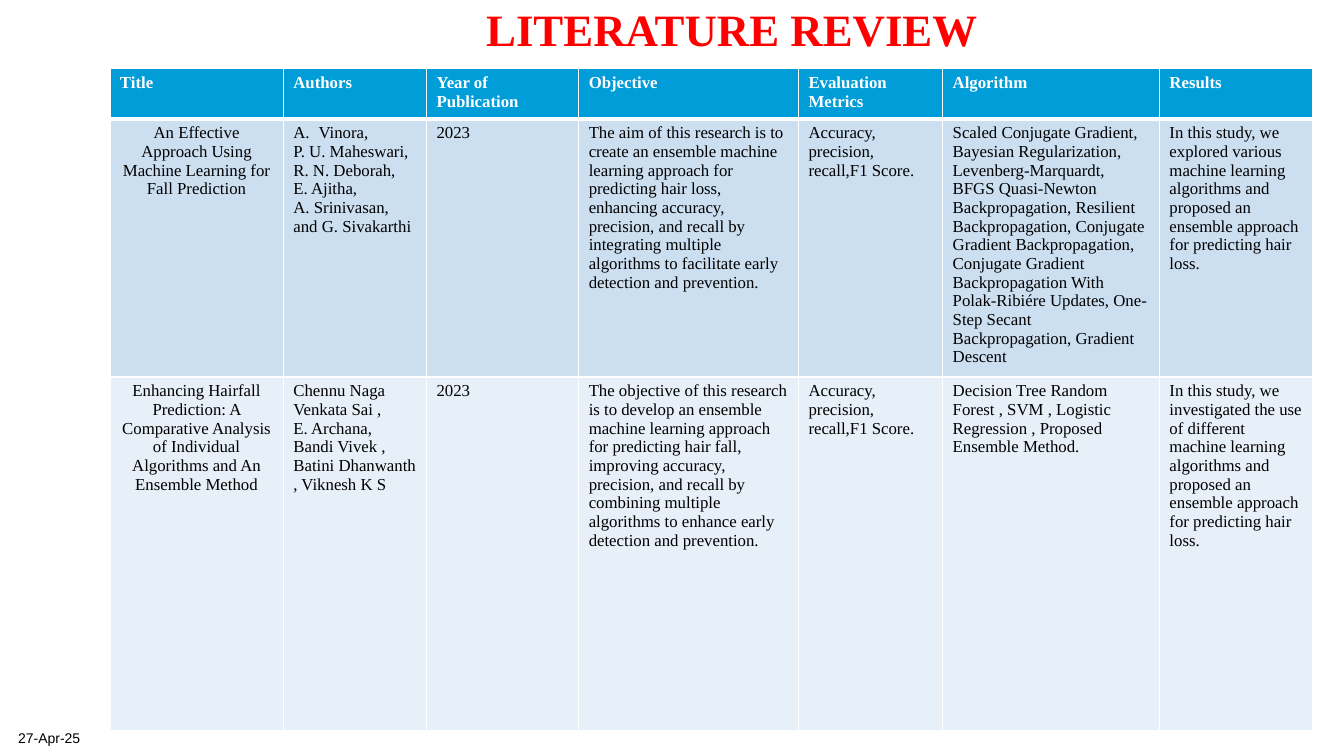
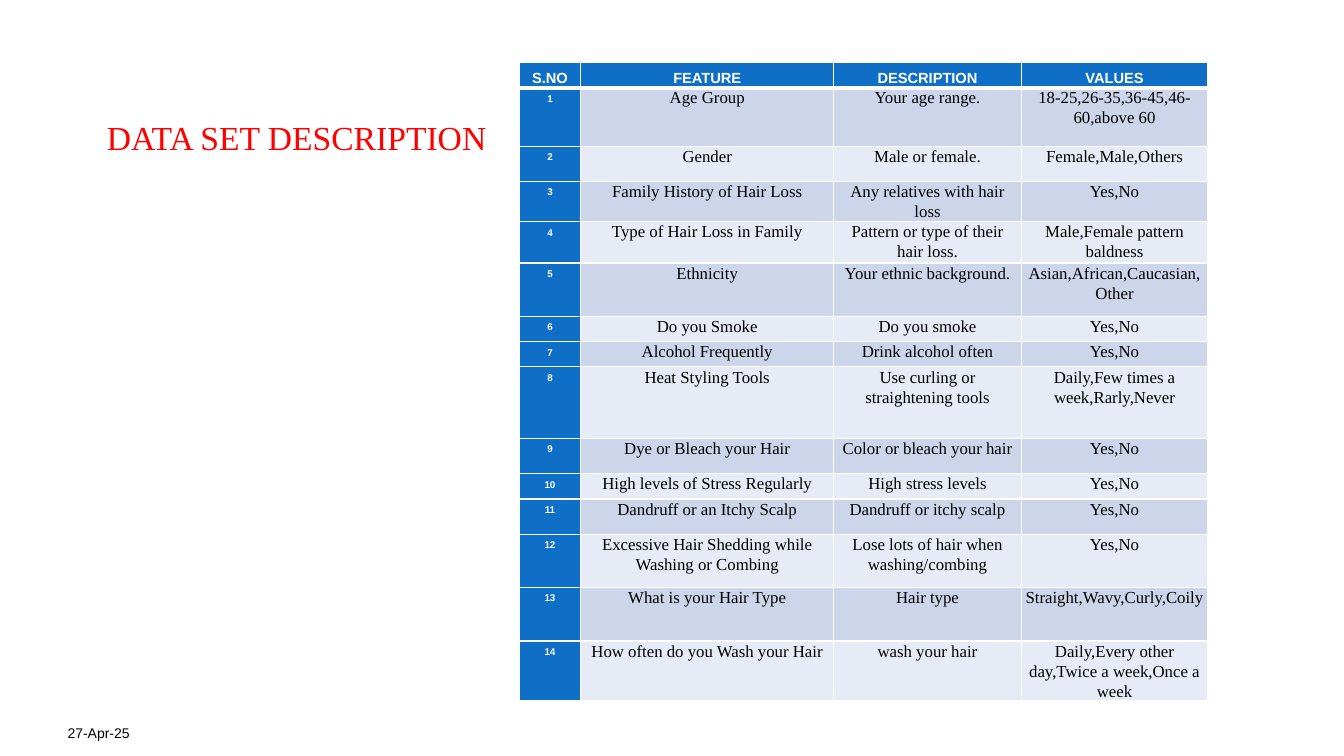
import pptx
import pptx.dml.color
import pptx.enum.text
import pptx.util
import pptx.oxml.ns
import lxml.etree

Inches = pptx.util.Inches
Pt = pptx.util.Pt
ALIGN = pptx.enum.text.PP_ALIGN
ANCHOR = pptx.enum.text.MSO_ANCHOR

COLORS = {
    "title": "FF0000", "text": "000000", "white": "FFFFFF",
    "review_head": "009DD9", "review_odd": "CCDFF1", "review_even": "E7EFF8",
    "data_head": "0F6FC6", "data_odd": "CCD5EA", "data_even": "E7EBF5",
}
SERIF, SANS = "Times New Roman", "Arial"
TITLE_ONLY = 5
DATE = "27-Apr-25"

REVIEW_COLUMNS = [1.72, 1.42, 1.51, 2.18, 1.43, 2.15, 1.52]
REVIEW_HEIGHTS = [0.5, 2.56, 3.51]
REVIEW = [
    ["Title", "Authors", "Year of Publication", "Objective",
     "Evaluation Metrics", "Algorithm", "Results"],
    ["An Effective Approach Using Machine Learning for Fall Prediction",
     "Vinora,\nP. U. Maheswari, R. N. Deborah,\nE. Ajitha,\n"
     "A. Srinivasan, and G. Sivakarthi",
     "2023",
     "The aim of this research is to create an ensemble machine learning "
     "approach for predicting hair loss, enhancing accuracy, precision, and "
     "recall by integrating multiple algorithms to facilitate early detection "
     "and prevention.",
     "Accuracy, precision, recall,F1 Score.",
     "Scaled Conjugate Gradient, Bayesian Regularization, "
     "Levenberg-Marquardt, BFGS Quasi-Newton Backpropagation, Resilient "
     "Backpropagation, Conjugate Gradient Backpropagation, Conjugate Gradient "
     "Backpropagation With Polak-Ribiére Updates, One-Step Secant "
     "Backpropagation, Gradient Descent",
     "In this study, we explored various machine learning algorithms and "
     "proposed an ensemble approach for predicting hair loss."],
    ["Enhancing Hairfall Prediction: A Comparative Analysis of Individual "
     "Algorithms and An Ensemble Method",
     "Chennu Naga Venkata Sai ,\nE. Archana, Bandi Vivek ,\n"
     "Batini Dhanwanth , Viknesh K S",
     "2023",
     "The objective of this research is to develop an ensemble machine "
     "learning approach for predicting hair fall, improving accuracy, "
     "precision, and recall by combining multiple algorithms to enhance early "
     "detection and prevention.",
     "Accuracy, precision, recall,F1 Score.",
     "Decision Tree Random Forest , SVM , Logistic Regression , Proposed "
     "Ensemble Method.",
     "In this study, we investigated the use of different machine learning "
     "algorithms and proposed an ensemble approach for predicting hair loss."],
]

FEATURE_COLUMNS = [0.61, 2.51, 1.86, 1.85]
FEATURE_HEIGHTS = [0.25, 0.58, 0.35, 0.4, 0.41, 0.53, 0.25, 0.25, 0.71,
                   0.35, 0.25, 0.35, 0.53, 0.53, 0.59]
FEATURE_HEADER = ["S.NO", "FEATURE", "DESCRIPTION", "VALUES"]
FEATURES = [
    ("Age Group", "Your age range.", "18-25,26-35,36-45,46-60,above 60"),
    ("Gender", "Male or female.", "Female,Male,Others"),
    ("Family History of Hair Loss", "Any relatives with hair loss", "Yes,No"),
    ("Type of Hair Loss in Family", "Pattern or type of their hair loss.",
     "Male,Female pattern baldness"),
    ("Ethnicity", "Your ethnic background.", "Asian,African,Caucasian,Other"),
    ("Do you Smoke", "Do you smoke", "Yes,No"),
    ("Alcohol Frequently", "Drink alcohol often", "Yes,No"),
    ("Heat Styling Tools", "Use curling or straightening tools",
     "Daily,Few times a week,Rarly,Never"),
    ("Dye or Bleach your Hair", "Color or bleach your hair", "Yes,No"),
    ("High levels of Stress Regularly", "High stress levels", "Yes,No"),
    ("Dandruff or an Itchy Scalp", "Dandruff or itchy scalp", "Yes,No"),
    ("Excessive Hair Shedding while Washing or Combing",
     "Lose lots of hair when washing/combing", "Yes,No"),
    ("What is your Hair Type", "Hair type", "Straight,Wavy,Curly,Coily"),
    ("How often do you Wash your Hair", "wash your hair",
     "Daily,Every other day,Twice a week,Once a week"),
]


def rgb(name):
    return pptx.dml.color.RGBColor.from_string(COLORS[name])


def write(frame, text, size=12, font=SERIF, color="text", bold=False,
          align=ALIGN.LEFT, spacing=1.0):
    """Fill a text frame, one paragraph per line of text."""
    for index, line in enumerate(text.split("\n")):
        paragraph = frame.paragraphs[0] if index == 0 else frame.add_paragraph()
        paragraph.alignment = align
        paragraph.line_spacing = spacing
        run = paragraph.add_run()
        run.text = line
        run.font.size = Pt(size)
        run.font.name = font
        run.font.bold = bold
        run.font.color.rgb = rgb(color)


def set_frame(frame, top=0):
    """Bottom-anchored frame shared by titles and dates."""
    frame.word_wrap = True
    frame.auto_size = pptx.enum.text.MSO_AUTO_SIZE.NONE
    frame.vertical_anchor = ANCHOR.BOTTOM
    frame.margin_left = frame.margin_right = frame.margin_bottom = 0
    frame.margin_top = Inches(top)


def add_slide(deck, title, title_box, date_at, **title_format):
    slide = deck.slides.add_slide(deck.slide_layouts[TITLE_ONLY])
    heading = slide.shapes.title
    heading.left, heading.top, heading.width, heading.height = map(Inches, title_box)
    set_frame(heading.text_frame, top=0.05)
    write(heading.text_frame, title, color="title", **title_format)

    date = slide.shapes.add_textbox(*map(Inches, (*date_at, 3.11, 0.4)))
    set_frame(date.text_frame)
    write(date.text_frame, DATE, size=10, font=SANS)
    return slide


def set_borders(cell, top, bottom):
    """White cell borders; call before the fill, which must follow them."""
    properties = cell._tc.get_or_add_tcPr()
    qn = pptx.oxml.ns.qn
    for side, width in (("L", 1), ("R", 1), ("T", top), ("B", bottom)):
        line = lxml.etree.SubElement(properties, qn(f"a:ln{side}"), w=str(Pt(width)))
        fill = lxml.etree.SubElement(line, qn("a:solidFill"))
        lxml.etree.SubElement(fill, qn("a:srgbClr"), val=COLORS["white"])


def add_grid(slide, left, top, columns, heights, rows, palette, style,
             margins=(0.1, 0.05)):
    """Banded table; style(row, column) gives the text format of a cell
    and whether it has the header fill."""
    table = slide.shapes.add_table(
        len(rows), len(columns), Inches(left), Inches(top),
        Inches(sum(columns)), Inches(sum(heights))).table
    for column, width in zip(table.columns, columns):
        column.width = Inches(width)
    for r, texts in enumerate(rows):
        table.rows[r].height = Inches(heights[r])
        for c, text in enumerate(texts):
            cell = table.cell(r, c)
            text_format, is_head = style(r, c)
            set_borders(cell, top=3 if r == 1 else 1, bottom=3 if r == 0 else 1)
            band = "head" if is_head else "odd" if r % 2 else "even"
            cell.fill.solid()
            cell.fill.fore_color.rgb = rgb(f"{palette}_{band}")
            cell.margin_left = cell.margin_right = Inches(margins[0])
            cell.margin_top = cell.margin_bottom = Inches(margins[1])
            write(cell.text_frame, text, **text_format)
    return table


def review_style(row, column):
    if row == 0:
        return dict(color="white", bold=True), True
    return dict(align=ALIGN.CENTER if column == 0 else ALIGN.LEFT), False


def feature_style(row, column):
    if row == 0 or column == 0:
        return dict(size=7 if row else 10.5, font=SANS, color="white", bold=True,
                    align=ALIGN.CENTER, spacing=1.5), True
    return dict(align=ALIGN.CENTER, spacing=1.07), False


def number_with_letter(paragraph):
    """Automatic A. numbering with a hanging indent."""
    properties = paragraph._p.get_or_add_pPr()
    properties.set("marL", str(Inches(0.25)))
    properties.set("indent", str(-Inches(0.25)))
    lxml.etree.SubElement(properties, pptx.oxml.ns.qn("a:buAutoNum"),
                          type="alphaUcPeriod")


def main():
    deck = pptx.Presentation()
    deck.slide_width, deck.slide_height = Inches(13.33), Inches(7.5)

    # Literature review
    review = add_slide(deck, "LITERATURE REVIEW", (1.26, -0.26, 12, 0.81),
                       (0.18, 7), size=32, bold=True, align=ALIGN.CENTER)
    papers = add_grid(review, 1.09, 0.68, REVIEW_COLUMNS, REVIEW_HEIGHTS,
                      REVIEW, "review", review_style)
    number_with_letter(papers.cell(1, 1).text_frame.paragraphs[0])

    # Data set features
    data_set = add_slide(deck, "DATA SET DESCRIPTION", (1.06, 0.31, 12, 1.25),
                         (0.67, 6.95), size=24)
    numbered = [(str(n), *feature) for n, feature in enumerate(FEATURES, 1)]
    add_grid(data_set, 5.15, 0.62, FEATURE_COLUMNS, FEATURE_HEIGHTS,
             [FEATURE_HEADER, *numbered], "data", feature_style,
             margins=(0.04, 0))

    deck.save("out.pptx")


if __name__ == "__main__":
    main()
